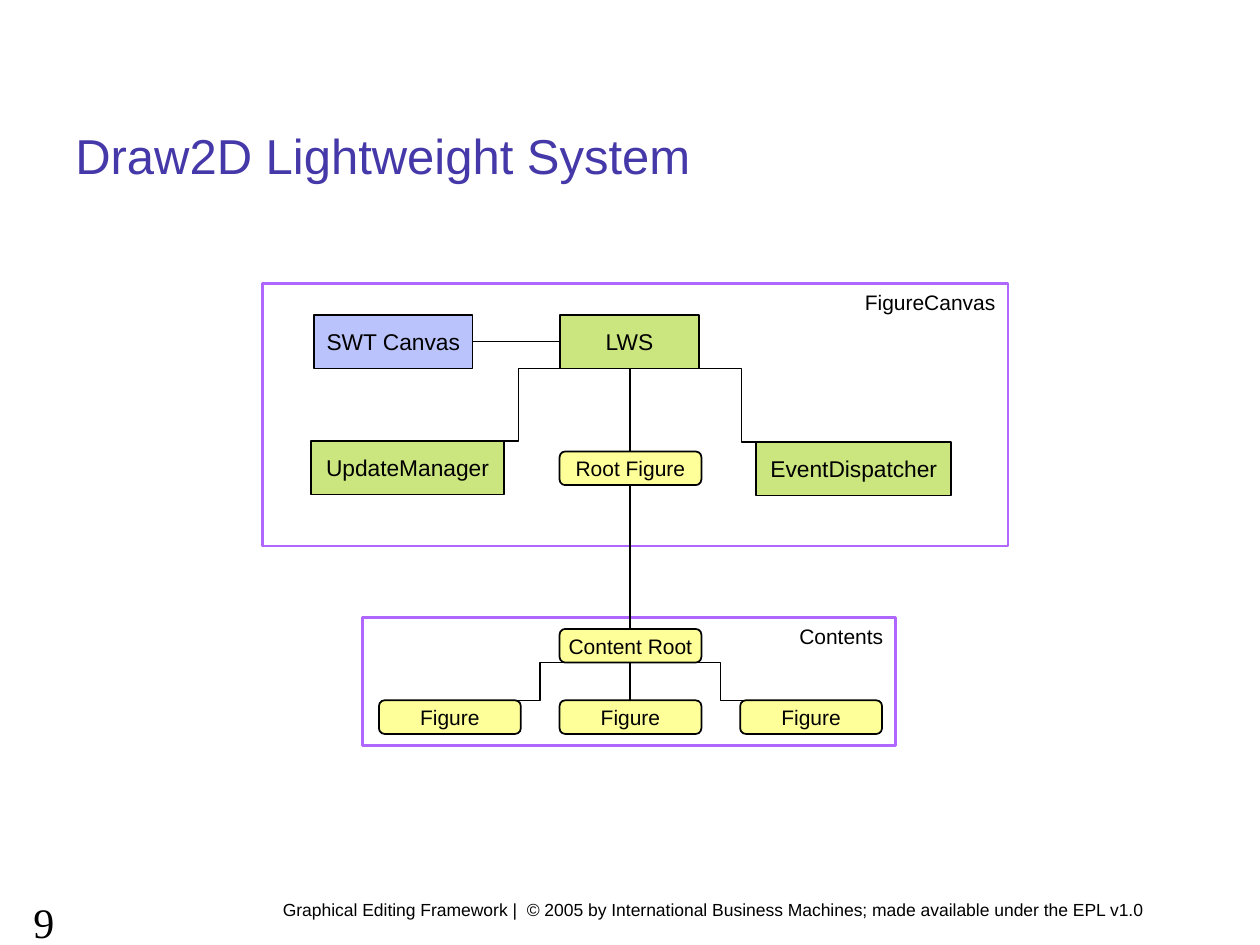
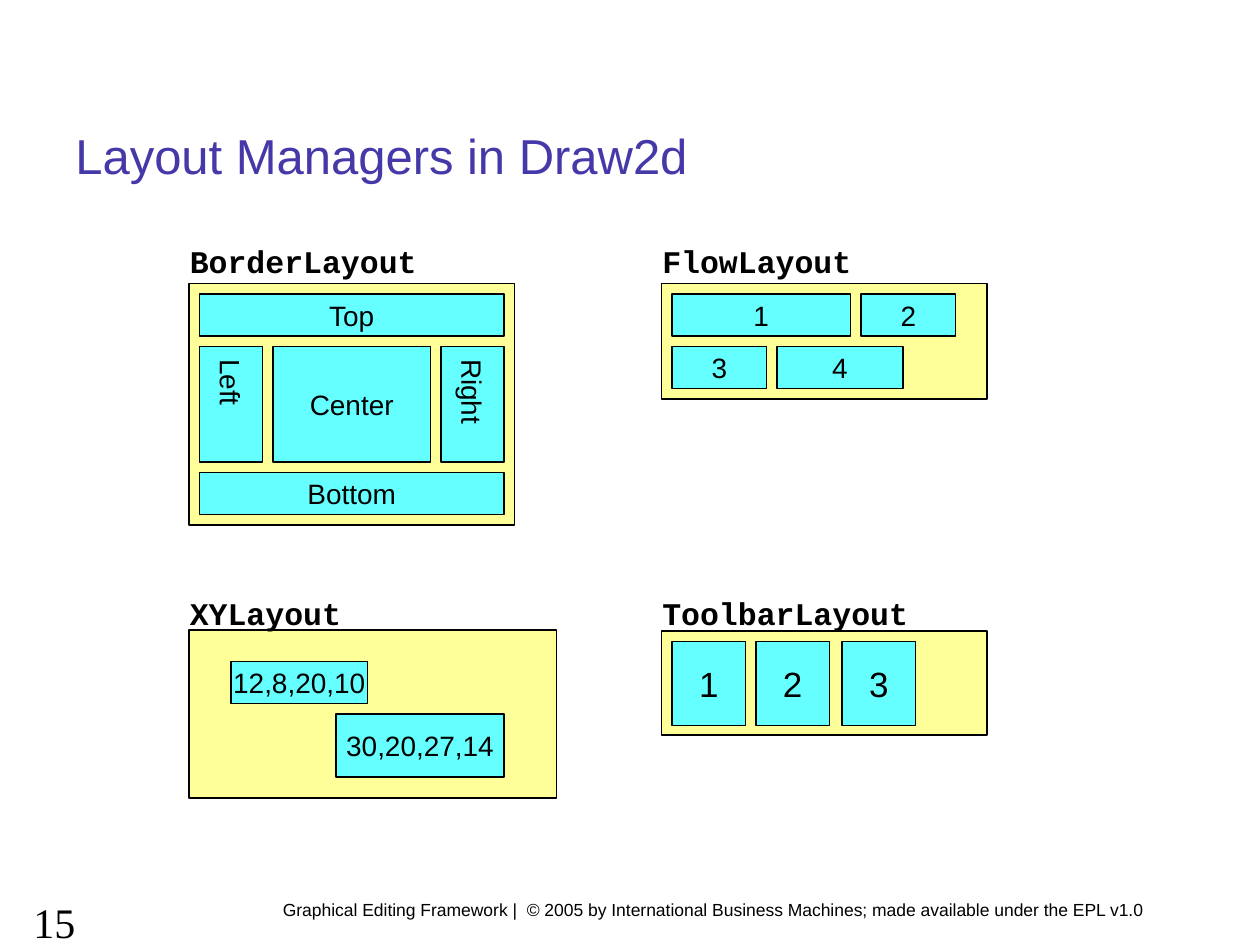
import pptx
import pptx.dml.color
import pptx.enum.shapes
import pptx.enum.text
import pptx.oxml.ns
import pptx.util
from lxml import etree

SHAPE = pptx.enum.shapes.MSO_SHAPE
CONNECTOR = pptx.enum.shapes.MSO_CONNECTOR
ALIGN = pptx.enum.text.PP_ALIGN
ANCHOR = pptx.enum.text.MSO_ANCHOR

COLOURS = {
    "ink": "000000",
    "title": "4538A8",
    "frame": "AF67FF",
    "canvas": "7889FB",
    "system": "99CC00",
    "figure": "FFFF99",
    "child": "66FFFF",
}
COLUMNS, ROWS = 120, 90
FOOTER = (" Graphical Editing Framework |  © 2005 by International Business Machines; "
          "made available under the EPL v1.0")


def rgb(name):
    return pptx.dml.color.RGBColor.from_string(COLOURS[name])


class SlideBuilder:
    """Holds the style and the current page; lengths are grid columns and rows."""

    def __init__(self):
        self.deck = pptx.Presentation()
        self.deck.slide_width = pptx.util.Inches(10)
        self.deck.slide_height = pptx.util.Inches(7.5)
        self.column = self.deck.slide_width / COLUMNS
        self.row = self.deck.slide_height / ROWS
        self.page = None

    def place(self, left, top, width, height):
        return (round(left * self.column), round(top * self.row),
                round(width * self.column), round(height * self.row))

    def start(self, title, number):
        """Open a page with its title, footer and number."""
        self.page = self.deck.slides.add_slide(self.deck.slide_layouts[6])
        self.text(FOOTER, 25.3, 85, 86.7, 3.2, size=10)
        self.text(title, 6, 11, 108, 7.5, size=28, colour="title", anchor=ANCHOR.MIDDLE)
        self.text(str(number), 2, 84.8, 13.2, 4.8, size=24, font="Times New Roman")

    def fill_text(self, shape, words, size, align=ALIGN.LEFT, anchor=ANCHOR.TOP,
                  wrap=True, font="Arial", bold=False, colour="ink"):
        frame = shape.text_frame
        frame.text = words
        frame.word_wrap = wrap
        frame.vertical_anchor = anchor
        para = frame.paragraphs[0]
        para.alignment = align
        for span in para.runs:
            span.font.name = font
            span.font.size = pptx.util.Pt(size)
            span.font.bold = bold
            span.font.color.rgb = rgb(colour)

    def text(self, words, left, top, width, height, **style):
        box = self.page.shapes.add_textbox(*self.place(left, top, width, height))
        self.fill_text(box, words, **style)

    def shape(self, kind, left, top, width, height, fill=None, line="ink", weight=1):
        shape = self.page.shapes.add_shape(kind, *self.place(left, top, width, height))
        shape.shadow.inherit = False
        if fill:
            shape.fill.solid()
            shape.fill.fore_color.rgb = rgb(fill)
        else:
            shape.fill.background()
        shape.line.color.rgb = rgb(line)
        shape.line.width = pptx.util.Pt(weight)
        return shape

    def frame(self, words, *area):
        """Outlined group with its name in the top right corner."""
        box = self.shape(SHAPE.RECTANGLE, *area, line="frame", weight=1.5)
        self.fill_text(box, words, 12, align=ALIGN.RIGHT, wrap=False)

    def node(self, words, *area, fill, size=16, kind=SHAPE.RECTANGLE):
        box = self.shape(kind, *area, fill=fill)
        self.fill_text(box, words, size, align=ALIGN.CENTER, anchor=ANCHOR.MIDDLE, wrap=False)
        return box

    def component(self, words, *area, fill="system"):
        """Node with a half transparent fill."""
        box = self.node(words, *area, fill=fill, size=13)
        solid = box._element.spPr.find(pptx.oxml.ns.qn("a:solidFill"))
        etree.SubElement(solid[0], pptx.oxml.ns.qn("a:alpha"), val="50000")
        return box

    def figure(self, words, left, top):
        return self.node(words, left, top, 13.5, 3.2, fill="figure", size=12,
                         kind=SHAPE.ROUNDED_RECTANGLE)

    def upright(self, words, *area):
        """Child node whose text runs downwards."""
        box = self.node(words, *area, fill="child")
        frame = box.text_frame
        frame.margin_left = frame.margin_right = pptx.util.Inches(0.05)
        frame.margin_top = frame.margin_bottom = pptx.util.Inches(0.1)
        box._element.txBody.bodyPr.set("vert", "eaVert")

    def line(self, kind, *points):
        link = self.page.shapes.add_connector(kind, *points)
        link.line.color.rgb = rgb("ink")
        link.line.width = pptx.util.Pt(0.75)
        etree.SubElement(link._element.spPr, pptx.oxml.ns.qn("a:effectLst"))

    def drop(self, parent, child, kind=CONNECTOR.ELBOW):
        """Link the parent's bottom to the child's top."""
        start = round(COLUMNS / 2 * self.column)
        end = start if kind == CONNECTOR.STRAIGHT else child.left + child.width // 2
        self.line(kind, start, parent.top + parent.height, end, child.top)

    def panel(self, words, *area, label_top):
        """Named yellow container of a layout manager."""
        self.shape(SHAPE.RECTANGLE, *area, fill="figure")
        self.text(words, area[0] - 1.1, label_top, 31, 4.8, size=18,
                  font="Courier New", bold=True)


def lightweight_system(builder):
    builder.start("Draw2D Lightweight System", 9)
    builder.frame("Contents", 34.5, 58.8, 50.8, 12.2)
    builder.frame("FigureCanvas", 25, 27, 71, 25)

    canvas = builder.component("SWT Canvas", 29.9, 30, 15.1, 5.1, fill="canvas")
    system = builder.component("LWS", 53.3, 30, 13.3, 5.1)
    updater = builder.component("UpdateManager", 29.6, 42, 18.4, 5.1)
    dispatcher = builder.component("EventDispatcher", 72, 42.1, 18.6, 5.1)
    root = builder.figure("Root Figure", 53.3, 43)
    content = builder.figure("Content Root", 53.3, 59.9)
    left, middle, right = [builder.figure("Figure", 53.3 + 17.2 * step, 66.7)
                           for step in (-1, 0, 1)]

    level = canvas.top + canvas.height // 2
    builder.line(CONNECTOR.STRAIGHT, system.left, level, canvas.left + canvas.width, level)
    for parent, child in ((system, updater), (system, dispatcher),
                          (content, left), (content, right)):
        builder.drop(parent, child)
    for parent, child in ((system, root), (root, content), (content, middle)):
        builder.drop(parent, child, CONNECTOR.STRAIGHT)


def layout_managers(builder):
    builder.start("Layout Managers in Draw2d", 15)
    builder.panel("BorderLayout", 18, 27, 31, 23, label_top=22.5)
    builder.panel("FlowLayout", 63, 27, 31, 11, label_top=22.5)
    builder.panel("XYLayout", 18, 60, 35, 16, label_top=56)
    builder.panel("ToolbarLayout", 63, 60.1, 31, 9.9, label_top=56)

    for words, *area in (
        ("Top", 19, 28, 29, 4), ("Center", 26, 33, 15, 11), ("Bottom", 19, 45, 29, 4),
        ("1", 64, 28, 17, 4), ("2", 82, 28, 9, 4),
        ("3", 64, 33, 9, 4), ("4", 74, 33, 12, 4),
        ("12,8,20,10", 22, 63, 13, 4), ("30,20,27,14", 32, 68, 16, 6),
    ):
        builder.node(words, *area, fill="child")
    for words, left in (("Left", 19), ("Right", 42)):
        builder.upright(words, left, 33, 6, 11)
    for words, left in (("1", 64), ("2", 72), ("3", 80.2)):
        builder.node(words, left, 61.1, 7, 8, fill="child", size=20)


def main():
    builder = SlideBuilder()
    lightweight_system(builder)
    layout_managers(builder)
    builder.deck.save("out.pptx")


if __name__ == "__main__":
    main()
